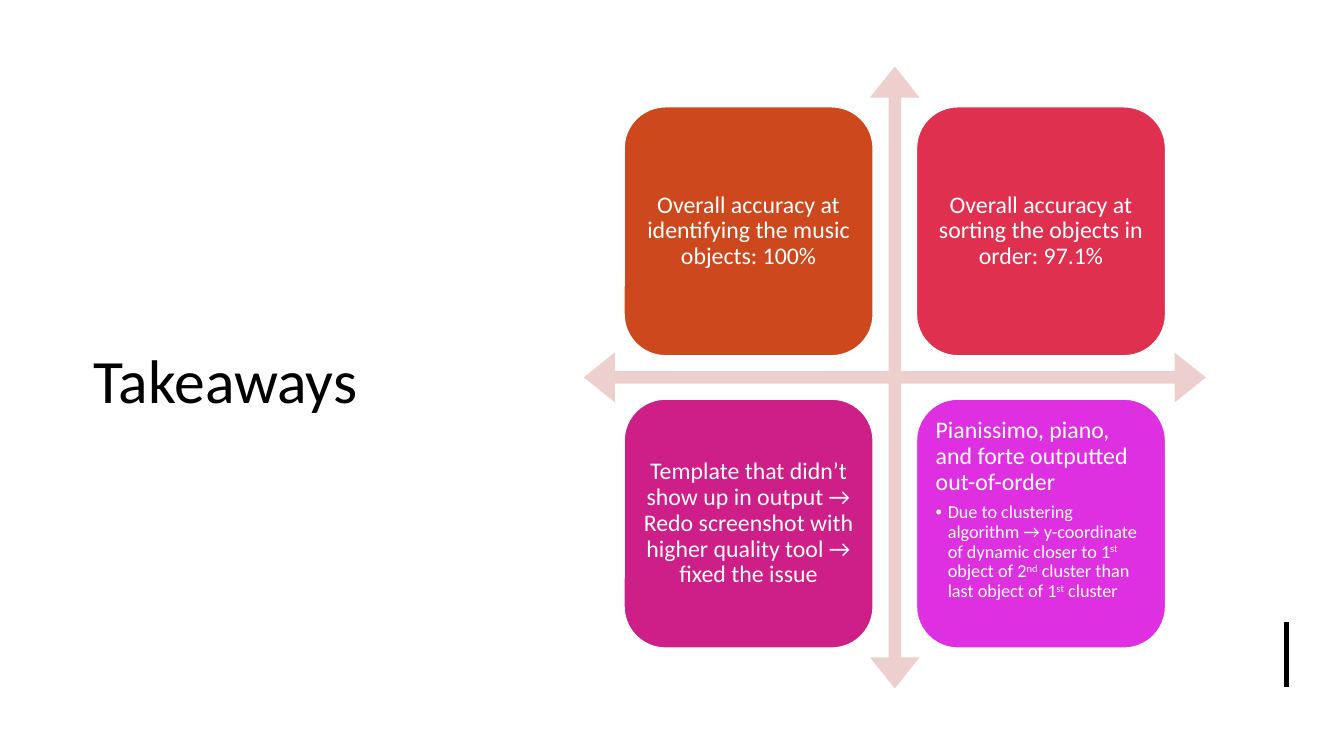
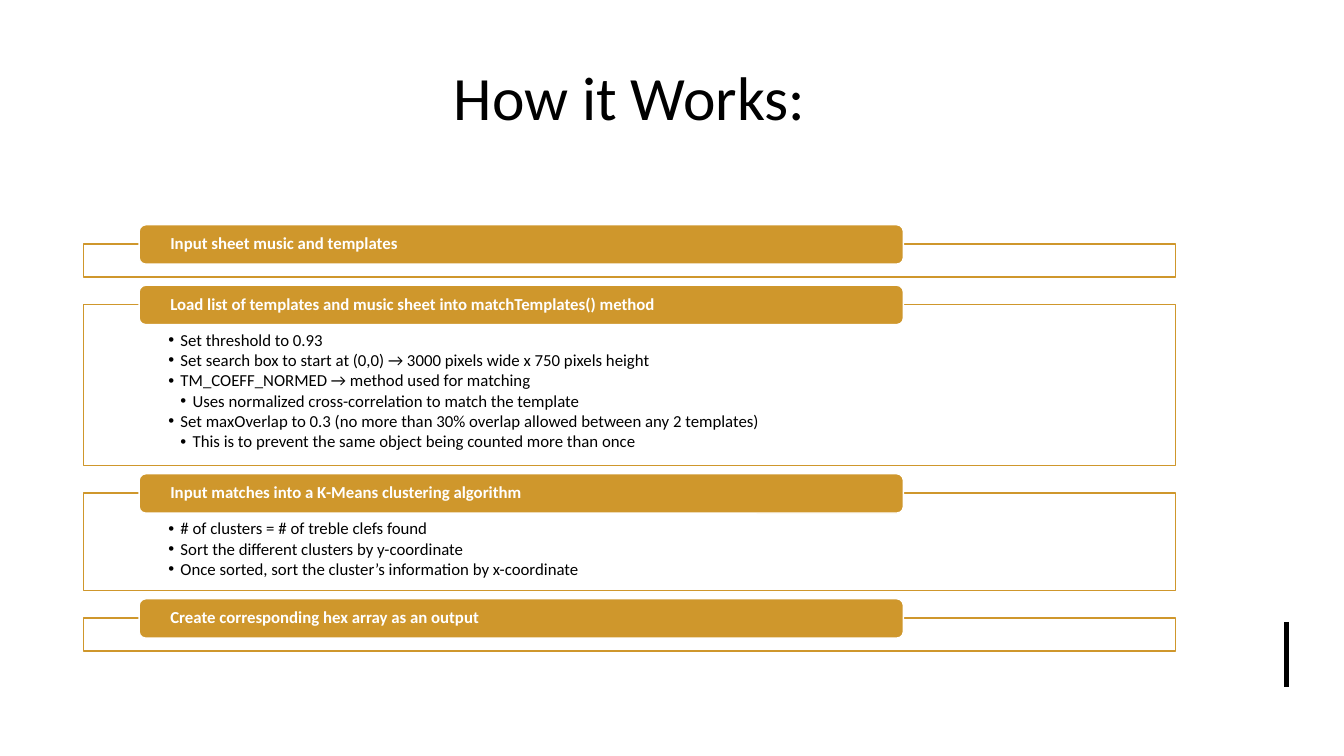
from dataclasses import dataclass

from lxml.etree import SubElement
from pptx import Presentation
from pptx.dml.color import RGBColor
from pptx.enum.shapes import MSO_CONNECTOR, MSO_SHAPE as Preset
from pptx.enum.text import MSO_ANCHOR as Anchor, MSO_AUTO_SIZE, PP_ALIGN as Align
from pptx.oxml.ns import qn
from pptx.presentation import Presentation as Deck
from pptx.shapes.autoshape import Shape
from pptx.slide import Slide
from pptx.text.text import TextFrame
from pptx.util import Inches, Pt

FONT = "Calibri"
BLACK = RGBColor(0x00, 0x00, 0x00)
WHITE = RGBColor(0xFF, 0xFF, 0xFF)
GOLD = RGBColor(0xCF, 0x97, 0x2C)
BLUSH = RGBColor(0xED, 0xCF, 0xCD)
ORANGE = RGBColor(0xCE, 0x48, 0x1E)
RED = RGBColor(0xE0, 0x30, 0x4F)
MAGENTA = RGBColor(0xCE, 0x1E, 0x87)
VIOLET = RGBColor(0xDE, 0x30, 0xE0)

TITLE_ONLY, TWO_CONTENT = 5, 3
BULLET_INDENT = 0.12
CARD_LEFT, CARD_TOP, CARD_SIZE, CARD_PITCH = 6.19, 1.06, 2.47, 2.9
PANEL_LEFT, PANEL_TOP, PANEL_WIDTH, PANEL_GAP = 0.83, 2.42, 10.83, 0.27
BAR_LEFT, BAR_WIDTH, BAR_HEIGHT, BAR_RISE = 1.38, 7.58, 0.39, 0.19


@dataclass(frozen=True)
class Box:
    """Position and size in inches."""
    left: float
    top: float
    width: float
    height: float


@dataclass(frozen=True)
class Span:
    """A stretch of text, raised when it is an ordinal ending."""
    text: str
    raised: bool = False


@dataclass(frozen=True)
class Line:
    """One paragraph; a level above zero makes it a bullet."""
    spans: tuple[Span, ...]
    level: int = 0


@dataclass(frozen=True)
class Card:
    """One quadrant of the takeaways matrix."""
    color: RGBColor
    lines: tuple[Line, ...]
    centered: bool = True


@dataclass(frozen=True)
class Step:
    """One stage of the process with its panel height and details."""
    heading: str
    height: float
    details: tuple[Line, ...] = ()


def line(text: str, level: int = 0) -> Line:
    """Make a paragraph of plain text."""
    return Line((Span(text),), level)


CARDS = (
    Card(ORANGE, (line("Overall accuracy at identifying the music objects: 100%"),)),
    Card(RED, (line("Overall accuracy at sorting the objects in order: 97.1%"),)),
    Card(MAGENTA, (line("Template that didn’t show up in output → Redo screenshot "
                        "with higher quality tool → fixed the issue"),)),
    Card(VIOLET, (
        line("Pianissimo, piano, and forte outputted out-of-order"),
        Line((Span("Due to clustering algorithm → y-coordinate of dynamic closer to 1"),
              Span("st", True), Span(" object of 2"), Span("nd", True),
              Span(" cluster than last object of 1"), Span("st", True),
              Span(" cluster")), 1)), centered=False),
)
STEPS = (
    Step("Input sheet music and templates", 0.33),
    Step("Load list of templates and music sheet into matchTemplates() method", 1.6, (
        line("Set threshold to 0.93", 1),
        line("Set search box to start at (0,0) → 3000 pixels wide x 750 pixels height", 1),
        line("TM_COEFF_NORMED → method used for matching", 1),
        line("Uses normalized cross-correlation to match the template", 2),
        line("Set maxOverlap to 0.3 (no more than 30% overlap allowed between any 2 templates)", 1),
        line("This is to prevent the same object being counted more than once", 2))),
    Step("Input matches into a K-Means clustering algorithm", 0.97, (
        line("# of clusters = # of treble clefs found", 1),
        line("Sort the different clusters by y-coordinate", 1),
        line("Once sorted, sort the cluster’s information by x-coordinate", 1))),
    Step("Create corresponding hex array as an output", 0.33),
)


def place(shape: Shape, box: Box) -> None:
    """Move and size a shape."""
    shape.left, shape.top = Inches(box.left), Inches(box.top)
    shape.width, shape.height = Inches(box.width), Inches(box.height)


def paint(shape: Shape, fill: RGBColor, outline: RGBColor) -> None:
    """Give a shape a solid fill and a thin outline."""
    shape.fill.solid()
    shape.fill.fore_color.rgb = fill
    shape.line.color.rgb = outline
    shape.line.width = Pt(1)


def add_box(page: Slide, preset: Preset, box: Box, fill: RGBColor, outline: RGBColor) -> Shape:
    """Draw a flat preset shape."""
    shape = page.shapes.add_shape(preset, *map(Inches, (box.left, box.top, box.width, box.height)))
    shape.shadow.inherit = False
    paint(shape, fill, outline)
    return shape


def write(frame: TextFrame, lines: tuple[Line, ...], sizes: tuple[float, ...], color: RGBColor,
          insets: tuple[float, float, float, float], anchor: Anchor = Anchor.MIDDLE,
          align: Align = Align.LEFT, bold: bool = False) -> None:
    """Fill a frame with paragraphs, sized by level."""
    frame.word_wrap = True
    frame.auto_size = MSO_AUTO_SIZE.NONE
    frame.vertical_anchor = anchor
    (frame.margin_left, frame.margin_top,
     frame.margin_right, frame.margin_bottom) = map(Inches, insets)
    for index, item in enumerate(lines):
        para = frame.add_paragraph() if index else frame.paragraphs[0]
        size = sizes[item.level]
        if item.level:
            para.level = item.level
            properties = para._p.get_or_add_pPr()
            properties.set("marL", str(Inches(BULLET_INDENT * item.level)))
            properties.set("indent", str(-Inches(BULLET_INDENT)))
            SubElement(properties, qn("a:buFont"), typeface="Arial")
            SubElement(properties, qn("a:buChar"), char="•")
        para.alignment = align
        para.line_spacing = 0.9
        para.space_before = Pt(0)
        para.space_after = Pt(round(size * (0.13 if item.level else 0.32), 1))
        para.font.name, para.font.size, para.font.bold = FONT, Pt(size), bold
        para.font.color.rgb = color
        for piece in item.spans:
            span = para.add_run()
            span.text = piece.text
            if piece.raised:
                span._r.get_or_add_rPr().set("baseline", "30000")


def add_page(deck: Deck, layout: int, title: str, box: Box, align: Align) -> Slide:
    """Add a slide with its title and the corner rule."""
    page = deck.slides.add_slide(deck.slide_layouts[layout])
    heading = page.shapes.title
    place(heading, box)
    frame = heading.text_frame
    frame.text = title
    frame.auto_size = MSO_AUTO_SIZE.NONE
    frame.vertical_anchor = Anchor.MIDDLE
    para = frame.paragraphs[0]
    para.alignment = align
    para.font.name, para.font.size = FONT, Pt(44)
    para.font.color.rgb = BLACK
    rule = page.shapes.add_connector(
        MSO_CONNECTOR.STRAIGHT, *map(Inches, (12.76, 6.17, 12.76, 6.82)))
    rule.line.color.rgb = BLACK
    rule.line.width = Pt(3)
    SubElement(rule._element.spPr, qn("a:effectLst"))
    return page


def add_takeaways(deck: Deck) -> None:
    """Build the matrix of four takeaways."""
    page = add_page(deck, TITLE_ONLY, "Takeaways", Box(0.83, 0.94, 3.77, 5.64), Align.LEFT)
    arrows = add_box(page, Preset.QUAD_ARROW, Box(5.79, 0.66, 6.17, 6.17), BLUSH, BLUSH)
    arrows.line.fill.background()
    for index, ratio in enumerate((0.02, 0.04, 0.05)):
        arrows.adjustments[index] = ratio
    for index, card in enumerate(CARDS):
        row, column = divmod(index, 2)
        box = Box(CARD_LEFT + column * CARD_PITCH, CARD_TOP + row * CARD_PITCH,
                  CARD_SIZE, CARD_SIZE)
        shape = add_box(page, Preset.ROUNDED_RECTANGLE, box, card.color, WHITE)
        write(shape.text_frame, card.lines, (17, 13), WHITE, (0.07, 0.07, 0.07, 0.07),
              Anchor.MIDDLE if card.centered else Anchor.TOP,
              Align.CENTER if card.centered else Align.LEFT)


def add_process(deck: Deck) -> None:
    """Build the stacked list of process steps."""
    page = add_page(deck, TWO_CONTENT, "How it Works:", Box(0.83, 0.32, 10.83, 1.27), Align.CENTER)
    bodies = iter([holder for holder in page.placeholders
                   if holder.placeholder_format.idx in (1, 2)])
    top = PANEL_TOP
    for step in STEPS:
        box = Box(PANEL_LEFT, top, PANEL_WIDTH, step.height)
        if step.details:
            panel = next(bodies)
            place(panel, box)
            paint(panel, WHITE, GOLD)
            write(panel.text_frame, step.details, (12, 12, 12), BLACK,
                  (0.84, 0.27, 0.84, 0.09), Anchor.TOP)
        else:
            add_box(page, Preset.RECTANGLE, box, WHITE, GOLD)
        bar = add_box(page, Preset.ROUNDED_RECTANGLE,
                      Box(BAR_LEFT, top - BAR_RISE, BAR_WIDTH, BAR_HEIGHT), GOLD, WHITE)
        write(bar.text_frame, (line(step.heading),), (12,), WHITE, (0.29, 0, 0.29, 0), bold=True)
        top += step.height + PANEL_GAP


def main() -> None:
    """Build and save the deck."""
    deck = Presentation()
    deck.slide_width, deck.slide_height = Inches(13.33), Inches(7.5)
    add_takeaways(deck)
    add_process(deck)
    deck.save("out.pptx")


if __name__ == "__main__":
    main()
